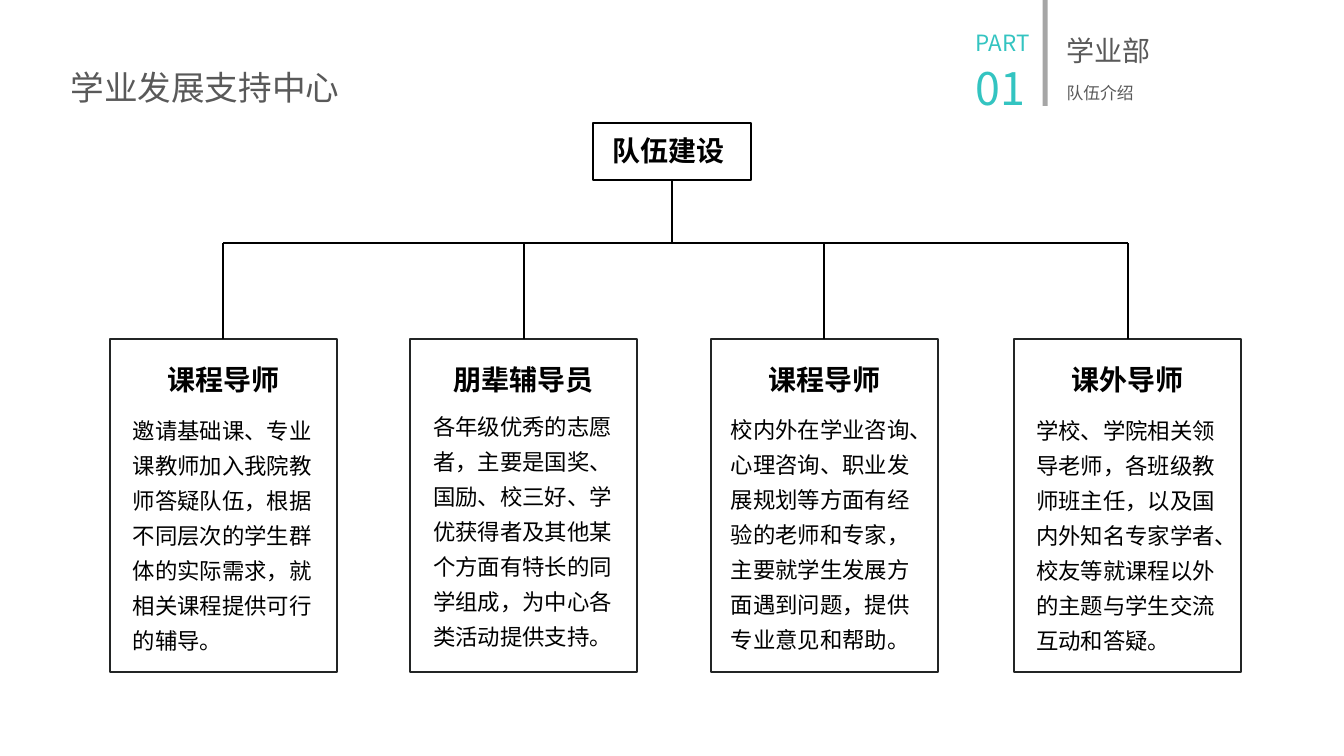
from lxml import etree
from pptx import Presentation
from pptx.dml.color import RGBColor
from pptx.enum.shapes import MSO_CONNECTOR, MSO_SHAPE
from pptx.enum.text import MSO_ANCHOR, MSO_AUTO_SIZE, PP_ALIGN
from pptx.oxml.ns import qn
from pptx.util import Inches, Pt

TEAL = RGBColor(0x33, 0xC4, 0xC1)
GRAY = RGBColor(0x59, 0x59, 0x59)
BAR_GRAY = RGBColor(0xA6, 0xA6, 0xA6)
INK = RGBColor(0x23, 0x25, 0x25)
BLACK = RGBColor(0, 0, 0)
CJK_FONT = "Noto Sans CJK SC"
LATIN_FONT = "Calibri"

# Chart geometry in inches
CARD_TOP, CARD_W, CARD_H = 3.36, 2.25, 3.31
BUS_Y = 2.41

# Left edge, heading, body offset within the card, body text
CARDS = [
    (1.09, "课程导师", (0.13, 0.65),
     "邀请基础课、专业课教师加入我院教师答疑队伍，根据不同层次的学生群体的实际需求，就相关课程提供可行的辅导。"),
    (4.07, "朋辈辅导员", (0.13, 0.61),
     "各年级优秀的志愿者，主要是国奖、国励、校三好、学优获得者及其他某个方面有特长的同学组成，为中心各类活动提供支持。"),
    (7.05, "课程导师", (0.1, 0.64),
     "校内外在学业咨询、心理咨询、职业发展规划等方面有经验的老师和专家，主要就学生发展方面遇到问题，提供专业意见和帮助。"),
    (10.06, "课外导师", (0.12, 0.65),
     "学校、学院相关领导老师，各班级教师班主任，以及国内外知名专家学者、校友等就课程以外的主题与学生交流互动和答疑。"),
]


def format_run(r, size, color, bold=False, font=CJK_FONT):
    r.font.size, r.font.bold, r.font.name = Pt(size), bold, font
    r.font.color.rgb = color
    ea = etree.SubElement(r.font._element, qn("a:ea"))
    ea.set("typeface", CJK_FONT)


def add_text(s, box, text, size, color, bold=False, font=CJK_FONT,
             align=PP_ALIGN.LEFT, spacing=None, wrap=True):
    sp = s.shapes.add_textbox(*map(Inches, box))
    tf = sp.text_frame
    tf.word_wrap = wrap
    tf.text = text
    p = tf.paragraphs[0]
    p.alignment = align
    if spacing:
        p.line_spacing = spacing
    format_run(p.runs[0], size, color, bold, font)
    return sp


def add_rect(s, box, fill=None, line=None):
    sp = s.shapes.add_shape(MSO_SHAPE.RECTANGLE, *map(Inches, box))
    sp.shadow.inherit = False
    if fill is None:
        sp.fill.background()
    else:
        sp.fill.solid()
        sp.fill.fore_color.rgb = fill
    if line is None:
        sp.line.fill.background()
    else:
        sp.line.color.rgb = line
        sp.line.width = Pt(1.5)


def add_line(s, x1, y1, x2, y2):
    line = s.shapes.add_connector(MSO_CONNECTOR.STRAIGHT,
                                  *map(Inches, (x1, y1, x2, y2)))
    line.line.color.rgb = BLACK
    line.line.width = Pt(1.5)
    etree.SubElement(line._element.spPr, qn("a:effectLst"))


def add_title(s, box, text):
    sp = s.shapes.title
    sp.left, sp.top, sp.width, sp.height = map(Inches, box)
    tf = sp.text_frame
    tf.text = text
    tf.word_wrap = False
    tf.auto_size = MSO_AUTO_SIZE.NONE
    tf.vertical_anchor = MSO_ANCHOR.TOP
    p = tf.paragraphs[0]
    p.alignment = PP_ALIGN.LEFT
    format_run(p.runs[0], 24, GRAY)


def add_part_marker(s, x, y):
    """Part number, divider bar and section name, placed around the bar."""
    add_rect(s, (x, y, 0.05, 1.05), fill=BAR_GRAY)
    add_text(s, (x + 0.14, y + 0.28, 1.04, 0.44), "学业部", 20, GRAY, wrap=False)
    add_text(s, (x + 0.14, y + 0.77, 0.88, 0.3), "队伍介绍", 12, GRAY, wrap=False)
    sp = add_text(s, (x - 0.76, y + 0.02, 0.84, 1.18), "PART", 16, TEAL, wrap=False)
    # The large space gives both lines the same height
    tf = sp.text_frame
    number = tf.add_paragraph()
    for p, text in ((tf.paragraphs[0], " "), (number, "01")):
        r = p.add_run()
        r.text = text
        format_run(r, 32, TEAL)


def add_card(s, x, y, heading, offset, body):
    add_rect(s, (x, y, CARD_W, CARD_H), line=INK)
    add_text(s, (x + 0.27, y + 0.19, CARD_W - 0.54, 0.44), heading, 20, BLACK,
             bold=True, font=LATIN_FONT, align=PP_ALIGN.CENTER)
    dx, dy = offset
    add_text(s, (x + dx, y + dy, 2.16, 2.52), body, 16, BLACK, spacing=1.3)


def add_team_chart(s):
    # Cards, each with a line up to the shared bar
    centers = [x + CARD_W / 2 for x, *_ in CARDS]
    for (x, heading, offset, body), center in zip(CARDS, centers):
        add_card(s, x, CARD_TOP, heading, offset, body)
        add_line(s, center, CARD_TOP, center, BUS_Y)
    add_line(s, centers[0], BUS_Y, centers[-1], BUS_Y)

    # Root box
    x, y, w, h = 5.88, 1.22, 1.57, 0.57
    add_rect(s, (x, y, w, h), line=BLACK)
    add_text(s, (x + 0.1, y + 0.06, 1.36, 0.44), "队伍建设", 20, BLACK, bold=True)
    add_line(s, x + w / 2, y + h, x + w / 2, BUS_Y)


def main():
    prs = Presentation()
    prs.slide_width, prs.slide_height = Inches(13.33), Inches(7.5)
    s = prs.slides.add_slide(prs.slide_layouts[5])
    add_title(s, (0.6, 0.61, 2.89, 0.5), "学业发展支持中心")
    add_part_marker(s, 10.34, 0)
    add_team_chart(s)
    prs.save("out.pptx")


if __name__ == "__main__":
    main()
